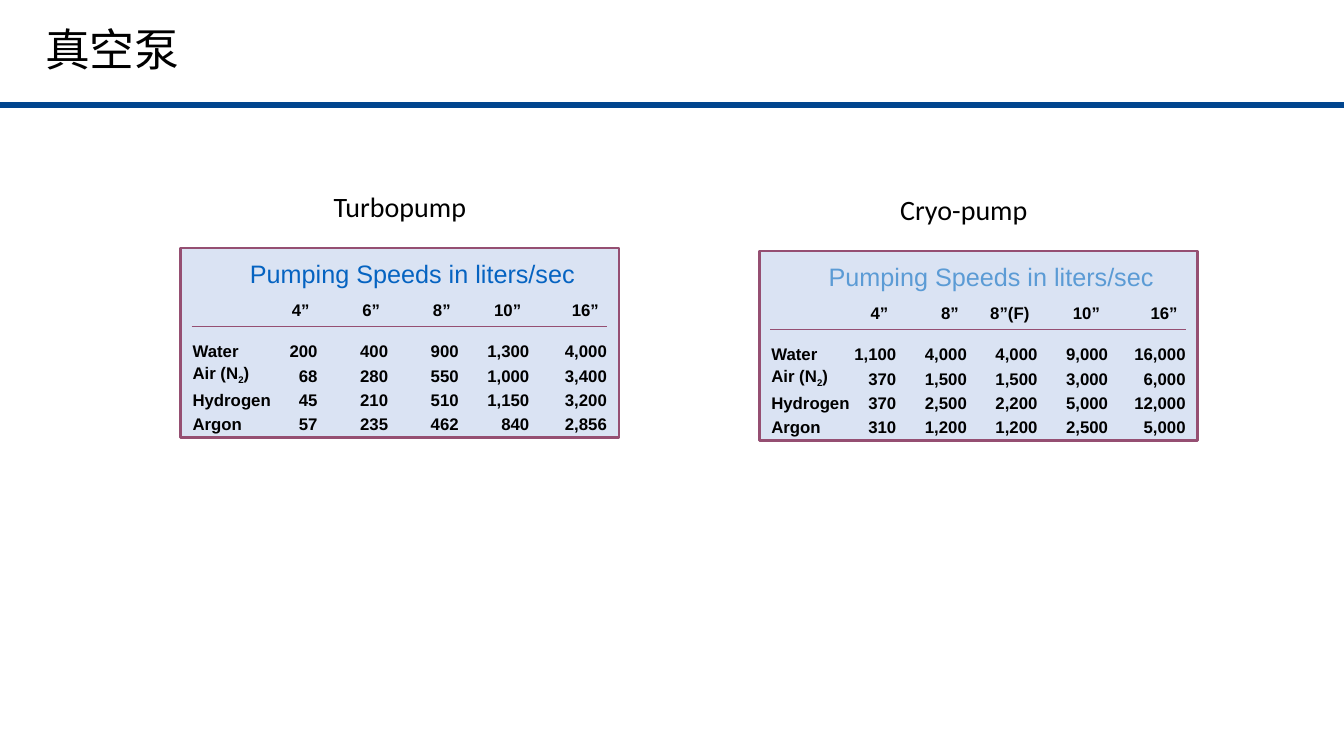
from lxml import etree
from pptx import Presentation
from pptx.dml.color import RGBColor
from pptx.enum.shapes import MSO_CONNECTOR, MSO_SHAPE
from pptx.enum.text import MSO_ANCHOR, PP_ALIGN
from pptx.oxml.ns import qn
from pptx.util import Inches, Pt

STRAIGHT = MSO_CONNECTOR.STRAIGHT
RECTANGLE = MSO_SHAPE.RECTANGLE
BOTTOM = MSO_ANCHOR.BOTTOM
LEFT, RIGHT = PP_ALIGN.LEFT, PP_ALIGN.RIGHT

BLACK, PLUM, PALE_BLUE, NAVY = "000000", "954F72", "DAE3F3", "01458E"
NO_GRID_STYLE = "{2D5ABB26-0587-4C30-8999-92F81FD0307C}"
COLUMN_WIDTHS = [0.8, 0.44, 0.7, 0.7, 0.7, 0.77]
ROW_HEIGHTS = [0.34, 0.41, 0.24, 0.24, 0.24]

TURBOPUMP_SPEEDS = [
    ["", "4”", "6”", "8”", "10”", "16”"],
    ["Water", "200", "400", "900", "1,300", "4,000"],
    ["Air (N2)", "68", "280", "550", "1,000", "3,400"],
    ["Hydrogen", "45", "210", "510", "1,150", "3,200"],
    ["Argon", "57", "235", "462", "840", "2,856"],
]
CRYOPUMP_SPEEDS = [
    ["", "4”", "8”", "8”(F)", "10”", "16”"],
    ["Water", "1,100", "4,000", "4,000", "9,000", "16,000"],
    ["Air (N2)", "370", "1,500", "1,500", "3,000", "6,000"],
    ["Hydrogen", "370", "2,500", "2,200", "5,000", "12,000"],
    ["Argon", "310", "1,200", "1,200", "2,500", "5,000"],
]


def color(hex_value):
    return RGBColor.from_string(hex_value)


def set_font(font, name, size, hex_value, bold=False):
    font.name = name
    font.size = Pt(size)
    font.bold = bold
    font.color.rgb = color(hex_value)


def add_text(slide, text, left, top, width, height, name, size, hex_value=BLACK):
    box = slide.shapes.add_textbox(Inches(left), Inches(top), Inches(width), Inches(height))
    box.text_frame.word_wrap = True
    paragraph = box.text_frame.paragraphs[0]
    paragraph.text = text
    set_font(paragraph.font, name, size, hex_value)
    return paragraph


def add_rule(slide, left, right, y, hex_value, weight):
    rule = slide.shapes.add_connector(STRAIGHT, Inches(left), Inches(y), Inches(right), Inches(y))
    rule.line.color.rgb = color(hex_value)
    rule.line.width = Pt(weight)
    etree.SubElement(rule._element.spPr, qn("a:effectLst"))


def add_title(slide, text):
    font_name = "Noto Sans CJK SC"
    paragraph = add_text(slide, text, 0.35, 0.17, 6.7, 0.64, font_name, 32)
    run_properties = paragraph.runs[0]._r.get_or_add_rPr()
    etree.SubElement(run_properties, qn("a:ea")).set("typeface", font_name)


def add_panel(slide, left, top):
    panel = slide.shapes.add_shape(RECTANGLE, Inches(left), Inches(top), Inches(4.35), Inches(1.88))
    panel.shadow.inherit = False
    panel.fill.solid()
    panel.fill.fore_color.rgb = color(PALE_BLUE)
    panel.line.color.rgb = color(PLUM)
    panel.line.width = Pt(2)


def fill_cell(cell, text, is_label, is_header):
    """Write one cell, with the digit of the nitrogen formula as a subscript."""
    cell.fill.background()
    cell.vertical_anchor = BOTTOM
    cell.margin_left = cell.margin_top = 0
    cell.margin_right = Inches(0.08 if is_header else 0)
    cell.margin_bottom = Inches(0.02)
    paragraph = cell.text_frame.paragraphs[0]
    paragraph.alignment = LEFT if is_label else RIGHT
    before, digit, after = text.partition("N2")
    paragraph.add_run().text = before + digit[:1]
    if digit:
        subscript = paragraph.add_run()
        subscript.text = digit[1:]
        subscript.font._element.set("baseline", "-25000")
        paragraph.add_run().text = after
    set_font(paragraph.font, "Arial", 12, BLACK, bold=True)


def add_speed_table(slide, speeds, left, top):
    frame = slide.shapes.add_table(
        len(ROW_HEIGHTS), len(COLUMN_WIDTHS), Inches(left), Inches(top),
        Inches(sum(COLUMN_WIDTHS)), Inches(sum(ROW_HEIGHTS)))
    table = frame.table
    table.horz_banding = False
    table._tbl.tblPr.find(qn("a:tableStyleId")).text = NO_GRID_STYLE
    for column, width in zip(table.columns, COLUMN_WIDTHS):
        column.width = Inches(width)
    for row, height in zip(table.rows, ROW_HEIGHTS):
        row.height = Inches(height)
    for row_index, row in enumerate(speeds):
        for column_index, text in enumerate(row):
            fill_cell(table.cell(row_index, column_index), text,
                      column_index == 0, row_index == 0)


def add_pump(slide, name, name_left, speeds, left, top, heading_color):
    """Draw a pump's name above its panel of pumping speeds."""
    add_text(slide, name, name_left, top - 0.63, 2.5, 0.44, "Calibri", 20)
    add_panel(slide, left, top)
    add_text(slide, "Pumping Speeds in liters/sec", left + 0.59, top + 0.05,
             3.76, 0.41, "Arial", 18, heading_color)
    add_speed_table(slide, speeds, left + 0.12, top + 0.39)
    add_rule(slide, left + 0.11, left + 4.23, top + 0.78, PLUM, 1)


def main():
    presentation = Presentation()
    presentation.slide_width = Inches(13.33)
    presentation.slide_height = Inches(7.5)
    slide = presentation.slides.add_slide(presentation.slide_layouts[6])
    add_rule(slide, 0, 13.33, 1.04, NAVY, 4.5)
    add_title(slide, "真空泵")
    add_pump(slide, "Turbopump", 3.21, TURBOPUMP_SPEEDS, 1.79, 2.46, "0563C1")
    add_pump(slide, "Cryo-pump", 8.83, CRYOPUMP_SPEEDS, 7.53, 2.49, "5B9BD5")
    presentation.save("out.pptx")


if __name__ == "__main__":
    main()
